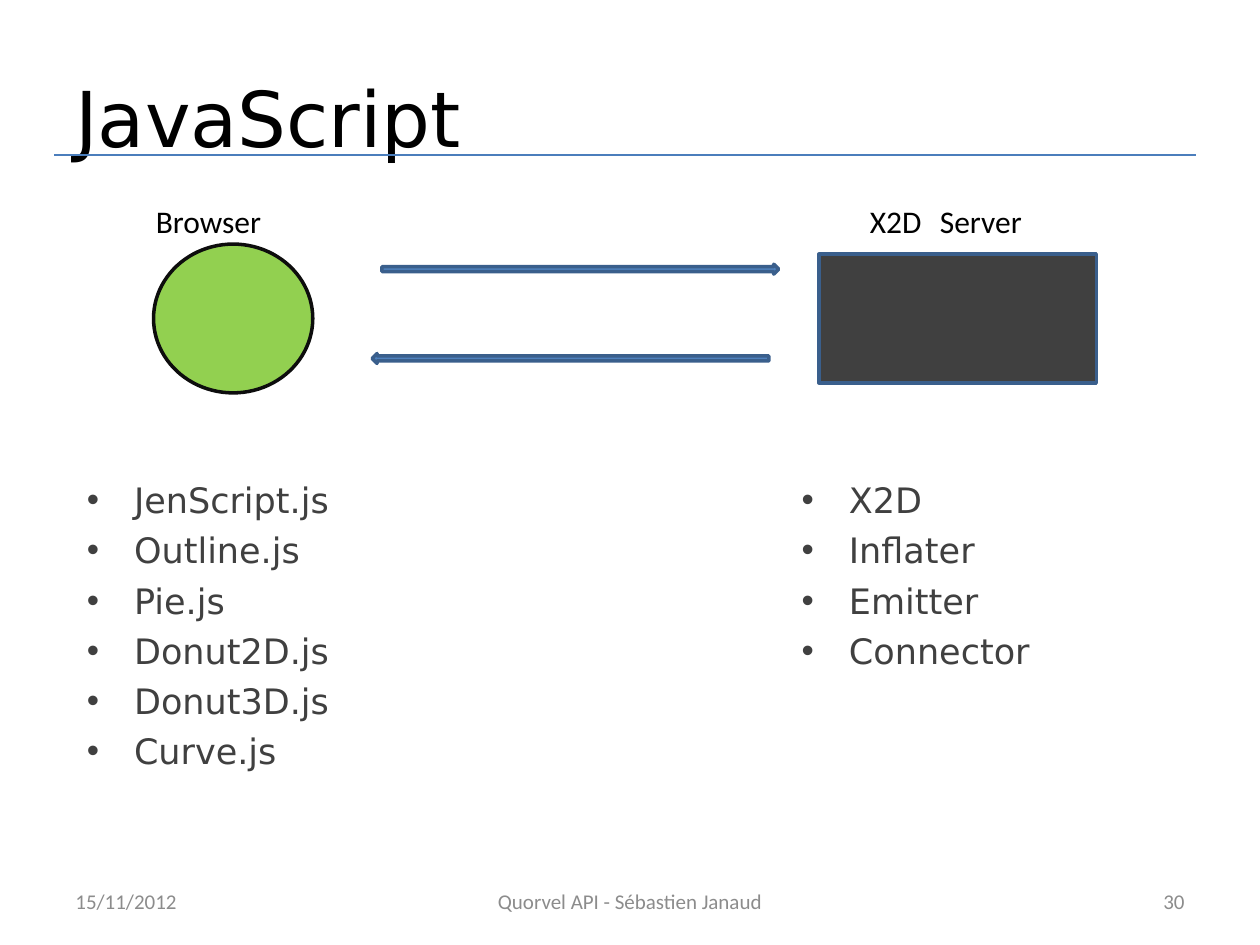
"""Build the JavaScript slide linking a browser with an X2D server."""
from lxml.etree import SubElement
from pptx import Presentation
from pptx.dml.color import RGBColor
from pptx.enum.shapes import MSO_CONNECTOR, MSO_SHAPE
from pptx.enum.text import MSO_ANCHOR, PP_ALIGN
from pptx.oxml.ns import qn
from pptx.util import Pt


def color(value):
    return RGBColor.from_string(value)


def add_text(box, lines, font, size, font_color, align=PP_ALIGN.LEFT,
             anchor=MSO_ANCHOR.MIDDLE, wrap=True, bullets=False):
    text_frame = slide.shapes.add_textbox(*map(Pt, box)).text_frame
    text_frame.text = "\n".join(lines)
    text_frame.word_wrap = wrap
    text_frame.vertical_anchor = anchor
    for index, paragraph in enumerate(text_frame.paragraphs):
        paragraph.alignment = align
        if bullets:
            paragraph.space_before = Pt(4.7 if index else 0)
            properties = paragraph._p.get_or_add_pPr()
            properties.set("marL", str(Pt(27)))
            properties.set("indent", str(Pt(-27)))
            SubElement(properties, qn("a:buFont"), typeface="Arial")
            SubElement(properties, qn("a:buChar"), char="•")
        for run in paragraph.runs:
            run.font.name = font
            run.font.size = Pt(size)
            run.font.color.rgb = color(font_color)


presentation = Presentation()
presentation.slide_width = Pt(720)
presentation.slide_height = Pt(540)
slide = presentation.slides.add_slide(presentation.slide_layouts[6])

for left, width, text, align in [
    (36, 168, "15/11/2012", PP_ALIGN.LEFT),
    (246, 228, "Quorvel API - Sébastien Janaud", PP_ALIGN.CENTER),
    (516, 168, "30", PP_ALIGN.RIGHT),
]:
    add_text((left, 500.5, width, 28.75), [text], "Calibri", 12, "8C8C8C", align)

add_text((36, 21.6, 648, 90), ["JavaScript"], "DejaVu Sans", 44, "000000")

title_rule = slide.shapes.add_connector(
    MSO_CONNECTOR.STRAIGHT, Pt(31), Pt(88.5), Pt(683.5), Pt(88.5))
title_rule.line.color.rgb = color("4B7EBC")
title_rule.line.width = Pt(0.75)
SubElement(title_rule._element.spPr, qn("a:effectLst"))

for kind, box, fill, outline, rotation in [
    (MSO_SHAPE.OVAL, (87.75, 139.5, 91, 85), "92D050", "0D0D0D", 0),
    (MSO_SHAPE.RECTANGLE, (468, 145.25, 158.5, 73.5), "404040", "3A5F8C", 0),
    (MSO_SHAPE.RIGHT_ARROW, (218.25, 151, 226.75, 5.67), "4F81BD", "3A5F8C", 0),
    (MSO_SHAPE.RIGHT_ARROW, (212.6, 202, 226.75, 5.67), "4F81BD", "3A5F8C", 180),
]:
    shape = slide.shapes.add_shape(kind, *map(Pt, box))
    shape.shadow.inherit = False
    shape.rotation = rotation
    shape.fill.solid()
    shape.fill.fore_color.rgb = color(fill)
    shape.line.color.rgb = color(outline)
    shape.line.width = Pt(2)

browser_scripts = ["JenScript.js", "Outline.js", "Pie.js",
                   "Donut2D.js", "Donut3D.js", "Curve.js"]
server_parts = ["X2D", "Inflater", "Emitter", "Connector"]
for left, height, lines in [(42.5, 147.5, browser_scripts), (451, 136, server_parts)]:
    add_text((left, 270, 215, height), lines, "DejaVu Sans", 20, "404040",
             anchor=MSO_ANCHOR.TOP, bullets=True)

for left, width, label in [(490, 45, "X2D"), (82, 75, "Browser"), (530, 62, "Server")]:
    add_text((left, 111.75, width, 29), [label], "Calibri", 18, "000000",
             anchor=MSO_ANCHOR.TOP, wrap=False)

presentation.save("out.pptx")
